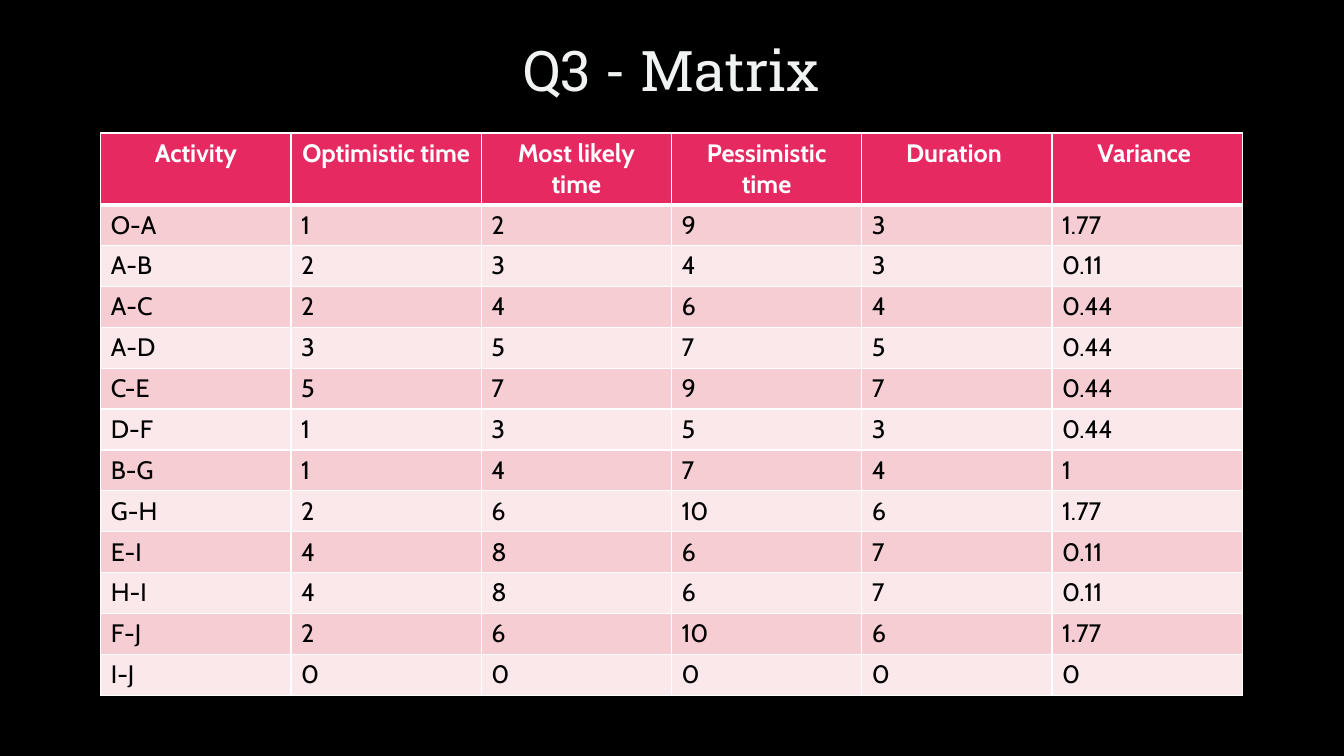
from dataclasses import dataclass

from lxml import etree
from pptx import Presentation
from pptx.dml.color import RGBColor
from pptx.enum.text import MSO_ANCHOR, PP_ALIGN
from pptx.oxml.ns import qn
from pptx.util import Inches, Pt

MIDDLE = MSO_ANCHOR.MIDDLE
LEFT, CENTER = PP_ALIGN.LEFT, PP_ALIGN.CENTER

BLACK, WHITE = "000000", "FFFFFF"
SIDE, WIDTH = 1, 11.32
TOP, HEIGHT, HEAD = 1.32, 5.57, 0.7

NAMES = ("Activity", "Optimistic time", "Most likely time",
         "Pessimistic time", "Duration ", "Variance ")
TASKS = (
    ("O-A", "1", "2", "9", "3", "1.77"),
    ("A-B", "2", "3", "4", "3", "0.11"),
    ("A-C", "2", "4", "6", "4", "0.44"),
    ("A-D", "3", "5", "7", "5", "0.44"),
    ("C-E", "5", "7", "9", "7", "0.44"),
    ("D-F", "1", "3", "5", "3", "0.44"),
    ("B-G", "1", "4", "7", "4", "1"),
    ("G-H", "2", "6", "10", "6", "1.77"),
    ("E-I", "4", "8", "6", "7", "0.11"),
    ("H-I", "4", "8", "6", "7", "0.11"),
    ("F-J", "2", "6", "10", "6", "1.77"),
    ("I-J", "0", "0", "0", "0", "0"),
)


@dataclass(frozen=True)
class Look:
    fill: str
    ink: str = BLACK
    bold: bool = False
    align: PP_ALIGN = LEFT
    upper: float = 1
    lower: float = 1


HEADER = Look("E72962", WHITE, True, CENTER, lower=3)
FIRST = Look("F6CDD3", upper=3)
BANDS = (Look("F6CDD3"), Look("FAE8EA"))


def paint(code: str) -> RGBColor:
    return RGBColor.from_string(code)


def add_run(para, text: str, font: str, size: float, ink: str, bold: bool = False):
    run = para.add_run()
    run.text = text
    run.font.name = font
    run.font.size = Pt(size)
    run.font.bold = bold
    run.font.color.rgb = paint(ink)
    return run


def make_line(tag: str, points: float, code: str):
    line = etree.Element(qn(tag), w=str(Pt(points)))
    fill = etree.SubElement(line, qn("a:solidFill"))
    color = etree.SubElement(fill, qn("a:srgbClr"), val=code)
    return line, color


def fill_cell(cell, text: str, look: Look) -> None:
    cell.fill.solid()
    cell.fill.fore_color.rgb = paint(look.fill)
    edges = (("a:lnL", 1), ("a:lnR", 1), ("a:lnT", look.upper), ("a:lnB", look.lower))
    props = cell._tc.get_or_add_tcPr()
    for spot, (tag, points) in enumerate(edges):
        line, _ = make_line(tag, points, WHITE)
        props.insert(spot, line)
    para = cell.text_frame.paragraphs[0]
    para.alignment = look.align
    add_run(para, text, "Cabin", 18, look.ink, look.bold)


def add_title(slide) -> None:
    title = slide.shapes.title
    title.left, title.top = Inches(SIDE), Inches(0)
    title.width, title.height = Inches(WIDTH), Inches(1.38)
    frame = title.text_frame
    frame.vertical_anchor = MIDDLE
    para = frame.paragraphs[0]
    para.alignment = CENTER
    run = add_run(para, "Q3 - Matrix", "Roboto Slab", 40, "F0F3F2")
    line, color = make_line("a:ln", 0.75, "404040")
    etree.SubElement(color, qn("a:alpha"), val="10000")
    run.font._element.insert(0, line)


def add_matrix(slide) -> None:
    rows = (NAMES,) + TASKS
    table = slide.shapes.add_table(
        len(rows), len(NAMES), Inches(SIDE), Inches(TOP), Inches(WIDTH), Inches(HEIGHT)
    ).table
    for column in table.columns:
        column.width = Inches(WIDTH / len(NAMES))
    looks = [HEADER, FIRST] + [BANDS[i % 2] for i in range(1, len(TASKS))]
    for i, (row, look) in enumerate(zip(rows, looks)):
        table.rows[i].height = Inches((HEIGHT - HEAD) / len(TASKS) if i else HEAD)
        for j, text in enumerate(row):
            fill_cell(table.cell(i, j), text, look)


def main() -> None:
    deck = Presentation()
    deck.slide_width, deck.slide_height = Inches(13.33), Inches(7.5)
    slide = deck.slides.add_slide(deck.slide_layouts[5])
    back = slide.background.fill
    back.solid()
    back.fore_color.rgb = paint(BLACK)
    add_title(slide)
    add_matrix(slide)
    deck.save("out.pptx")


if __name__ == "__main__":
    main()
